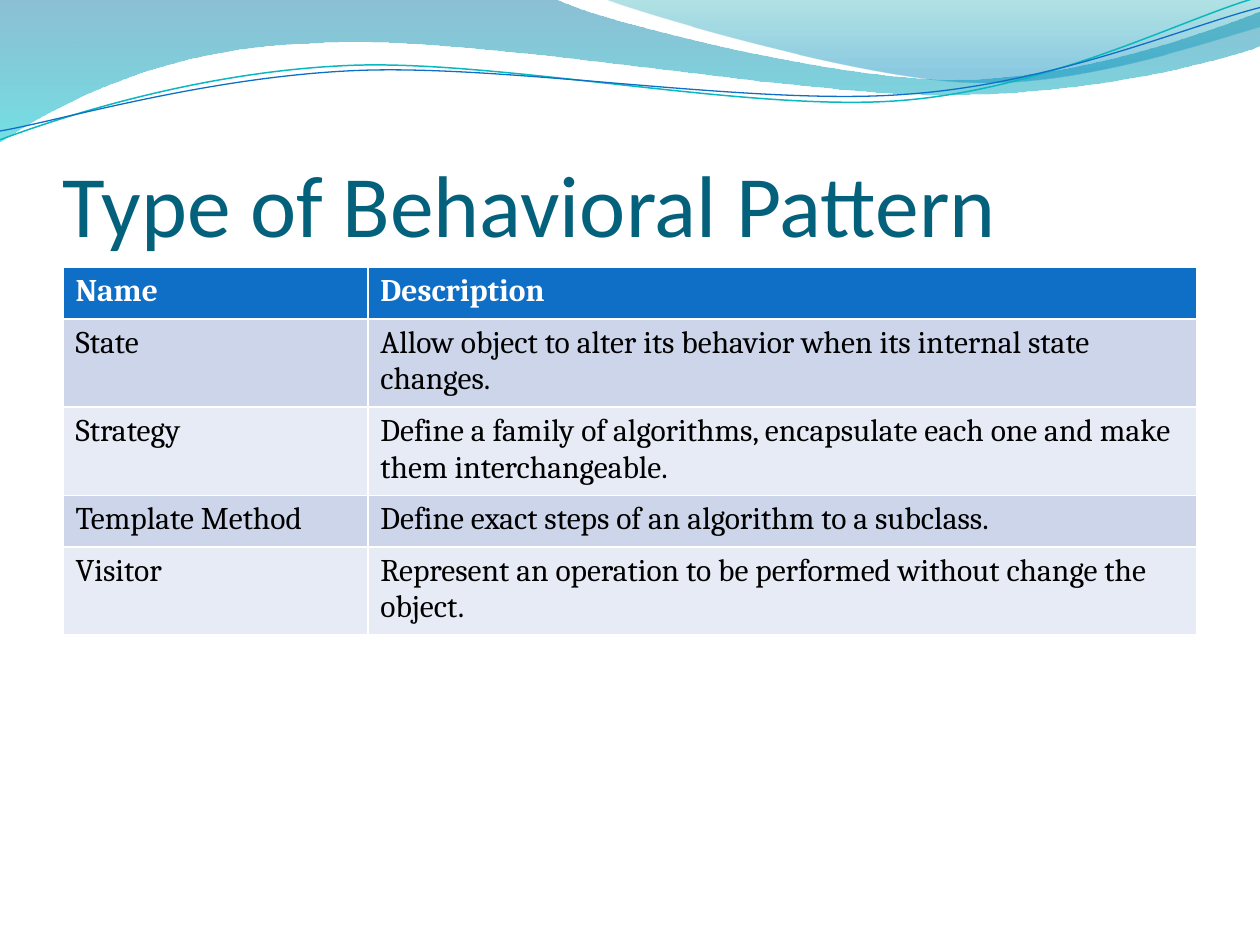
from dataclasses import dataclass

from lxml import etree
from pptx import Presentation
from pptx import util as u
from pptx.dml.color import RGBColor
from pptx.enum import text
from pptx.oxml.ns import qn


@dataclass(frozen=True)
class Theme:
    title: str = "04617B"
    header: str = "0F6FC6"
    bands: tuple = ("CCD5EA", "E7EBF5")
    light: str = "FFFFFF"
    dark: str = "000000"
    teal: str = "0AB8BF"
    wide_wave: tuple = ((0, "0074A1", 45), (100, "00C6CF", 55))
    crest_wave: tuple = ((0, "00A1A9", 30), (80, "008BBF", 45))
    title_font: str = "Calibri"
    body_font: str = "Cambria"
    title_size: int = 50
    body_size: int = 18


COLUMNS, ROWS = 10, 7.5  # grid of the slide, one inch per cell


def write(frame, content, *, font, size, color, bold=False):
    run = frame.paragraphs[0].add_run()
    run.text = content
    run.font.name, run.font.size, run.font.bold = font, u.Pt(size), bold
    run.font.color.rgb = RGBColor.from_string(color)


class SlideBuilder:
    def __init__(self, presentation, theme):
        self.theme = theme
        self.slide = presentation.slides.add_slide(presentation.slide_layouts[6])

    def outline(self, start, segments, closed):
        """Segments of 2 numbers are straight, those of 6 are cubic curves."""
        points = [(u.Inches(x), u.Inches(y))
                  for segment in segments for x, y in zip(segment[::2], segment[1::2])]
        builder = self.slide.shapes.build_freeform(*map(u.Inches, start), scale=1.0)
        builder.add_line_segments(points, close=closed)
        shape = builder.convert_to_shape()
        shape.shadow.inherit = False
        steps = iter(list(shape.element.spPr.iter(qn("a:lnTo"))))
        for segment in segments:
            first, *others = [next(steps) for _ in segment[::2]]
            if others:
                first.tag = qn("a:cubicBezTo")
            for step in others:
                first.append(step[0])
                step.getparent().remove(step)
        return shape

    def wave(self, start, segments, stops):
        shape = self.outline(start, segments, True)
        shape.line.fill.background()
        shape.fill.gradient()
        shape.fill.gradient_angle = 270
        for stop, (position, color, _) in zip(shape.fill.gradient_stops, stops):
            stop.position = position / 100
            stop.color.rgb = RGBColor.from_string(color)
        colors = shape.element.spPr.iter(qn("a:srgbClr"))
        for color, (_, _, opacity) in zip(colors, stops):
            etree.SubElement(color, qn("a:alpha"), val=str(opacity * 1000))

    def ribbon(self, start, segments, color, width):
        shape = self.outline(start, segments, False)
        shape.fill.background()
        shape.line.color.rgb = RGBColor.from_string(color)
        shape.line.width = u.Pt(width)

    def title(self, content, *box):
        frame = self.slide.shapes.add_textbox(*map(u.Inches, box)).text_frame
        frame.word_wrap = True
        frame.vertical_anchor = text.MSO_ANCHOR.BOTTOM
        frame.margin_left = frame.margin_right = frame.margin_bottom = 0
        frame.margin_top = u.Inches(0.05)
        write(frame, content, font=self.theme.title_font,
              size=self.theme.title_size, color=self.theme.title)

    def table(self, records, left, top, column_widths, row_height):
        theme = self.theme
        table = self.slide.shapes.add_table(
            len(records), len(column_widths), u.Inches(left), u.Inches(top),
            u.Inches(sum(column_widths)), u.Inches(row_height * len(records))).table
        for column, width in zip(table.columns, column_widths):
            column.width = u.Inches(width)
        for index, record in enumerate(records):
            header = index == 0
            color = theme.header if header else theme.bands[(index - 1) % 2]
            for cell, content in zip(table.rows[index].cells, record):
                cell.fill.solid()
                cell.fill.fore_color.rgb = RGBColor.from_string(color)
                write(cell.text_frame, content, font=theme.body_font,
                      size=theme.body_size, bold=header,
                      color=theme.light if header else theme.dark)


presentation = Presentation()
presentation.slide_width, presentation.slide_height = u.Inches(COLUMNS), u.Inches(ROWS)
theme = Theme()
builder = SlideBuilder(presentation, theme)

# Waves along the top edge
builder.wave((0, 0), [
    (4.4, -0.01), (4.76, 0.17, 6.64, 0.63, 7.58, 0.63),
    (8.53, 0.63, 9.58, 0.26, 10, 0.09), (10.01, 0.36),
    (9.83, 0.44, 8.7, 0.76, 7.46, 0.75), (6.22, 0.75, 3.82, 0.28, 2.57, 0.34),
    (1.29, 0.36, 0.46, 0.83, -0.01, 1.13), (0, 0)], theme.wide_wave)
builder.wave((4.79, -0.01), [
    (5.09, 0.11, 6.82, 0.62, 7.69, 0.65), (8.56, 0.69, 9.61, 0.32, 10, 0.21),
    (10, 0), (4.79, -0.01)], theme.crest_wave)

# Thin ribbons across the waves
builder.ribbon((0, 1.11), [
    (0.48, 0.93, 1.58, 0.57, 2.77, 0.52), (3.95, 0.47, 5.93, 0.89, 7.13, 0.8),
    (8.33, 0.71, 9.38, 0.15, 9.98, -0.02)], theme.teal, 0.85)
builder.ribbon((0, 1.04), [
    (0.47, 0.96, 1.64, 0.61, 2.83, 0.56), (4.03, 0.51, 5.97, 0.84, 7.17, 0.75),
    (8.36, 0.67, 9.41, 0.21, 10, 0.06)], theme.header, 0.75)

# Title and table of patterns
builder.title("Type of Behavioral Pattern", 0.5, 0.77, 9, 1.25)
builder.table([
    ("Name ", "Description"),
    ("State", "Allow object to alter its behavior when its internal state changes."),
    ("Strategy", "Define a family of algorithms, encapsulate each one and make "
                 "them interchangeable."),
    ("Template Method", "Define exact steps of an algorithm to a subclass."),
    ("Visitor", "Represent an operation to be performed without change the object."),
], left=0.5, top=2.12, column_widths=(2.42, 6.58), row_height=0.41)

presentation.save("out.pptx")
